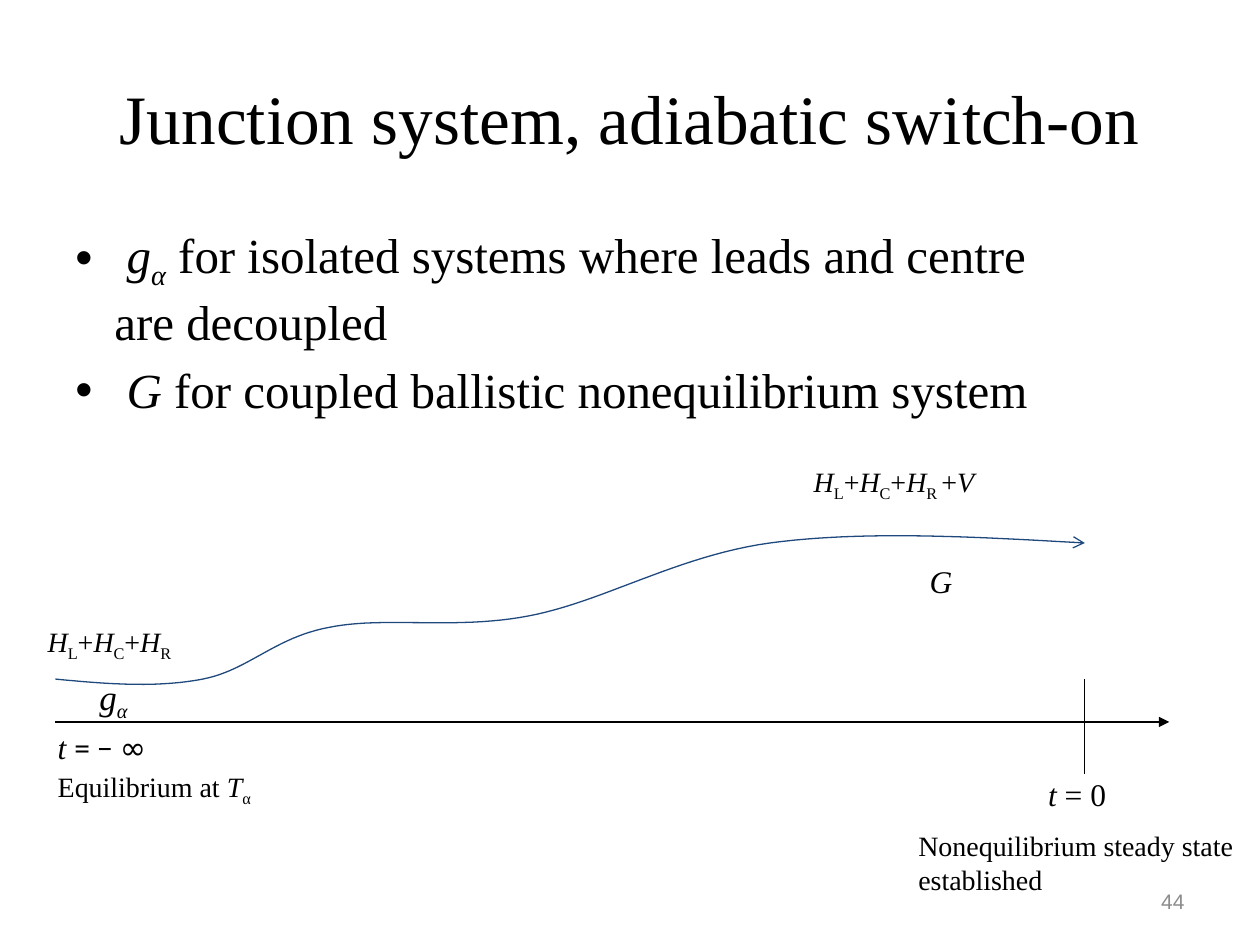
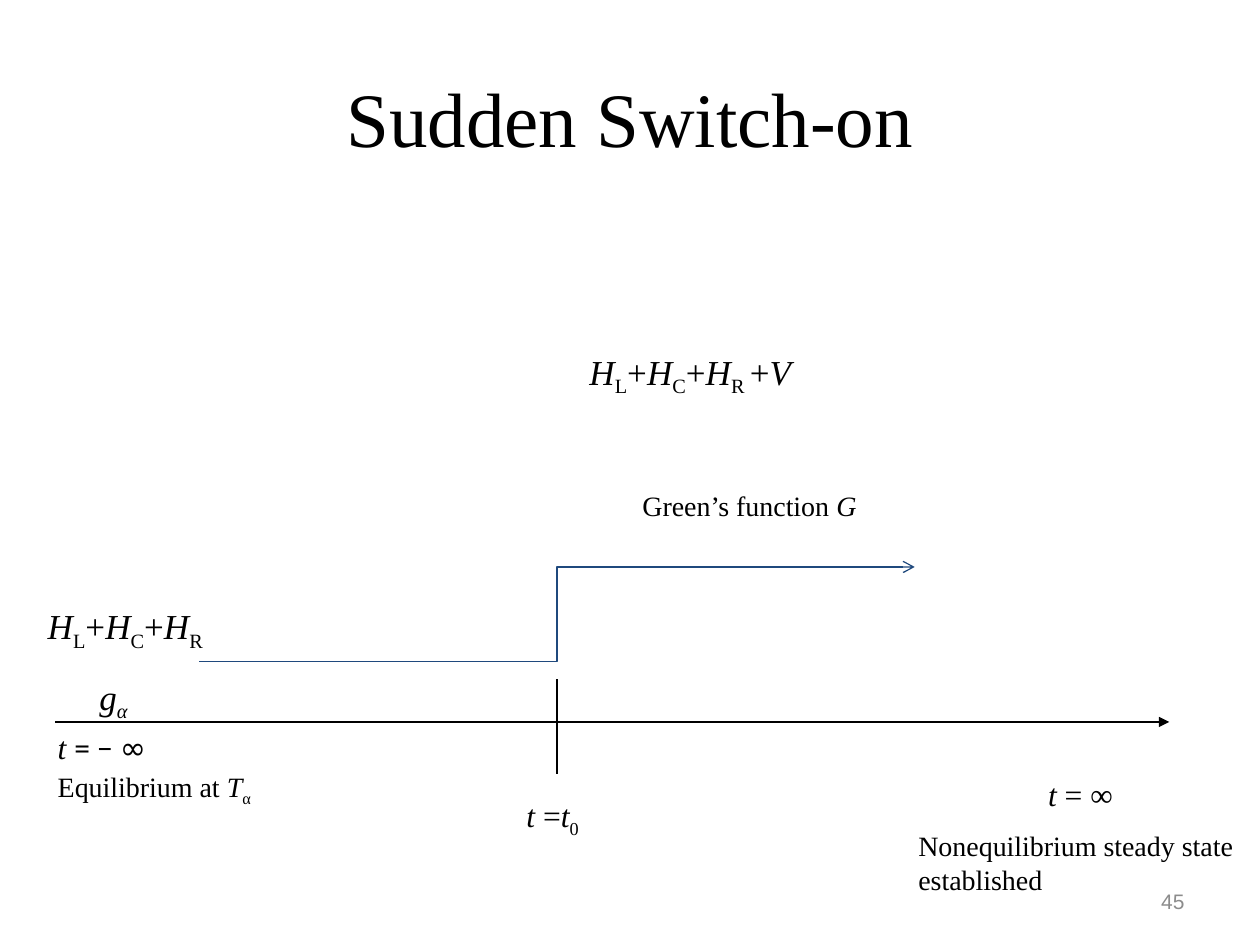
from dataclasses import dataclass

import pptx
import pptx.dml.color
import pptx.enum.shapes
import pptx.enum.text
import pptx.oxml
import pptx.oxml.ns
import pptx.util
from lxml import etree

ALIGN = pptx.enum.text.PP_ALIGN
ANCHOR = pptx.enum.text.MSO_ANCHOR
FIT = pptx.enum.text.MSO_AUTO_SIZE
CONNECTOR = pptx.enum.shapes.MSO_CONNECTOR


@dataclass(frozen=True)
class Theme:
    ink: str = "000000"
    switch: str = "1F497D"
    muted: str = "8C8C8C"
    serif: str = "Times New Roman"
    sans: str = "Arial"
    math: str = "Calibri"
    infinity: str = "Comic Neue"
    title: float = 44
    long_title: float = 39.6
    bullet: float = 28
    symbol: float = 20
    time: float = 18
    note: float = 16
    number: float = 12
    line: float = 0.75


THEME = Theme()

# The slide is a grid of 10 columns by 7.5 square rows.
WIDTH, HEIGHT = pptx.util.Inches(10), pptx.util.Inches(7.5)
CELL = WIDTH // 10

AXIS_LEFT, AXIS_RIGHT, AXIS_ROW = 0.44, 9.28, 5.73
TICK_TOP, TICK_BOTTOM = 5.39, 6.14
SWITCH_END, SUDDEN_TIME = 8.61, 4.42


def grid(*cells):
    return [round(cell * CELL) for cell in cells]


def rgb(colour):
    return pptx.dml.color.RGBColor.from_string(colour)


# Every run of rich text is a pair: its text and what differs from plain text.
def plain(text, font=None):
    return text, {"font": font}


def italic(text):
    return text, {"italic": True}


def sub(text, slanted=False):
    return text, {"italic": slanted, "lowered": True}


def join_terms(*letters):
    """Hamiltonian terms H with subscripts, joined by plus signs."""
    runs = []
    for letter in letters:
        if runs:
            runs.append(plain("+"))
        runs += [italic("H"), sub(letter)]
    return runs


DECOUPLED = join_terms("L", "C", "R")
COUPLED = join_terms("L", "C", "R ") + [plain("+"), italic("V")]
LEAD_FUNCTION = [italic("g"), sub("α", slanted=True)]


def write(paragraph, runs, size, font=THEME.serif, colour=THEME.ink, align=ALIGN.LEFT):
    paragraph.alignment = align
    for text, style in runs:
        run = paragraph.add_run()
        run.text = text
        run.font.name = style.get("font") or font
        run.font.size = pptx.util.Pt(size)
        run.font.italic = style.get("italic", False)
        run.font.color.rgb = rgb(colour)
        if style.get("lowered"):
            run._r.get_or_add_rPr().set("baseline", "-25000")


def add_label(slide, left, top, width, height, runs, size=THEME.note,
              anchor=ANCHOR.TOP, **text_format):
    frame = slide.shapes.add_textbox(*grid(left, top, width, height)).text_frame
    frame.word_wrap = True
    frame.auto_size = FIT.SHAPE_TO_FIT_TEXT
    frame.vertical_anchor = anchor
    write(frame.paragraphs[0], runs, size, **text_format)


def add_bullets(slide, left, top, width, height, items):
    frame = slide.shapes.add_textbox(*grid(left, top, width, height)).text_frame
    frame.word_wrap = True
    for index, runs in enumerate(items):
        paragraph = frame.add_paragraph() if index else frame.paragraphs[0]
        properties = paragraph._p.get_or_add_pPr()
        margin, hanging = grid(0.81, 0.31)
        properties.set("marL", str(margin))
        properties.set("indent", str(-hanging))
        for tag, name, value in (("a:buFont", "typeface", THEME.sans),
                                 ("a:buChar", "char", "•")):
            etree.SubElement(properties, pptx.oxml.ns.qn(tag)).set(name, value)
        if index:
            paragraph.space_before = pptx.util.Pt(THEME.bullet * 0.2)
        write(paragraph, runs, THEME.bullet)


def style_line(shape, colour, head=None):
    shape.line.color.rgb = rgb(colour)
    shape.line.width = pptx.util.Pt(THEME.line)
    if head:
        tail = etree.SubElement(shape.line._get_or_add_ln(), pptx.oxml.ns.qn("a:tailEnd"))
        tail.set("type", head)


def add_line(slide, start, end, colour=THEME.ink, head=None, kind=CONNECTOR.STRAIGHT):
    line = slide.shapes.add_connector(kind, *grid(*start, *end))
    style_line(line, colour, head)
    etree.SubElement(line._element.spPr, pptx.oxml.ns.qn("a:effectLst"))


def bezier(points, t):
    weights = ((1 - t) ** 3, 3 * t * (1 - t) ** 2, 3 * t ** 2 * (1 - t), t ** 3)
    return [sum(w * p[axis] for w, p in zip(weights, points)) for axis in (0, 1)]


def add_curve(slide, points, steps=24):
    """Draw a smooth arrow through cubic pieces that share their end points."""
    traced = [bezier(points[first:first + 4], step / steps)
              for first in range(0, len(points) - 1, 3)
              for step in range(1, steps + 1)]
    builder = slide.shapes.build_freeform(*grid(*points[0]))
    builder.add_line_segments([grid(*point) for point in traced], close=False)
    curve = builder.convert_to_shape()
    curve.shadow.inherit = False
    curve.fill.background()
    style_line(curve, THEME.switch, "arrow")


def start_slide(deck, title, number, title_size):
    slide = deck.slides.add_slide(deck.slide_layouts[5])
    heading = slide.shapes.title
    heading.left, heading.top, heading.width, heading.height = grid(0.5, 0.3, 9, 1.25)
    frame = heading.text_frame
    frame.word_wrap = True
    frame.auto_size = FIT.NONE
    frame.vertical_anchor = ANCHOR.MIDDLE
    write(frame.paragraphs[0], [plain(title)], title_size, align=ALIGN.CENTER)
    add_label(slide, 7.17, 6.95, 2.33, 0.4, [plain(str(number))], THEME.number,
              anchor=ANCHOR.MIDDLE, font=THEME.sans, colour=THEME.muted, align=ALIGN.RIGHT)
    return slide


def add_timeline(slide, tick, end_time):
    """The time axis with the states at its two ends."""
    add_line(slide, (AXIS_LEFT, AXIS_ROW), (AXIS_RIGHT, AXIS_ROW), head="triangle")
    add_line(slide, (tick, TICK_TOP), (tick, TICK_BOTTOM))
    add_label(slide, 0.69, 5.31, 0.63, 0.43, LEAD_FUNCTION, THEME.symbol)
    add_label(slide, 0.36, AXIS_ROW, 1.33, 0.4,
              [italic("t "), plain("= − ", THEME.math), plain("∞", THEME.infinity)], THEME.time)
    add_label(slide, 0.36, 6.06, 2.08, 0.37,
              [plain("Equilibrium at "), italic("T"), sub("α")])
    add_label(slide, 8.22, 6.1, 0.92, 0.4, [italic("t"), plain(f" = {end_time}")], THEME.time)
    add_label(slide, 7.19, 6.53, 3.12, 0.64,
              [plain("Nonequilibrium steady state established")])


def add_adiabatic_slide(deck):
    slide = start_slide(deck, "Junction system, adiabatic switch-on", 44, THEME.long_title)
    add_bullets(slide, 0, 1.73, 8.5, 1.7, [
        [plain(" "), *LEAD_FUNCTION,
         plain(" for isolated systems where leads and centre are decoupled")],
        [plain(" "), italic("G"), plain(" for coupled ballistic nonequilibrium system")],
    ])
    add_timeline(slide, SWITCH_END, "0")
    add_curve(slide, [
        (AXIS_LEFT, 5.39), (0.85, 5.43), (1.25, 5.46),
        (1.61, 5.39), (1.97, 5.32), (2.18, 5.06),
        (2.61, 4.98), (3.04, 4.89), (3.61, 5),
        (4.19, 4.89), (4.78, 4.78), (5.38, 4.41),
        (6.11, 4.31), (6.85, 4.21), (7.73, 4.26),
        (SWITCH_END, 4.31),
    ])
    add_label(slide, 0.28, 4.91, 1.58, 0.37, DECOUPLED)
    add_label(slide, 6.36, 3.64, 2.33, 0.37, COUPLED)
    add_label(slide, 7.28, 4.41, 0.5, 0.4, [italic("G")], THEME.time)


def add_sudden_slide(deck):
    slide = start_slide(deck, "Sudden Switch-on", 45, THEME.title)
    add_timeline(slide, SUDDEN_TIME, "∞")
    reach = 2.84
    add_line(slide, (SUDDEN_TIME - reach, 5.25), (SUDDEN_TIME + reach, 4.5),
             THEME.switch, "arrow", CONNECTOR.ELBOW)
    add_label(slide, 0.28, 4.75, 1.58, 0.44, DECOUPLED, THEME.symbol)
    add_label(slide, 4.58, 2.73, 2.83, 0.44, COUPLED, THEME.symbol)
    add_label(slide, 5, 3.83, 2.42, 0.37, [plain("Green’s function "), italic("G")])
    add_label(slide, 4.08, 6.27, 0.92, 0.4,
              [italic("t"), plain(" ="), italic("t"), sub("0")], THEME.time)


def main():
    deck = pptx.Presentation()
    deck.slide_width, deck.slide_height = WIDTH, HEIGHT
    add_adiabatic_slide(deck)
    add_sudden_slide(deck)
    deck.save("out.pptx")


if __name__ == "__main__":
    main()
